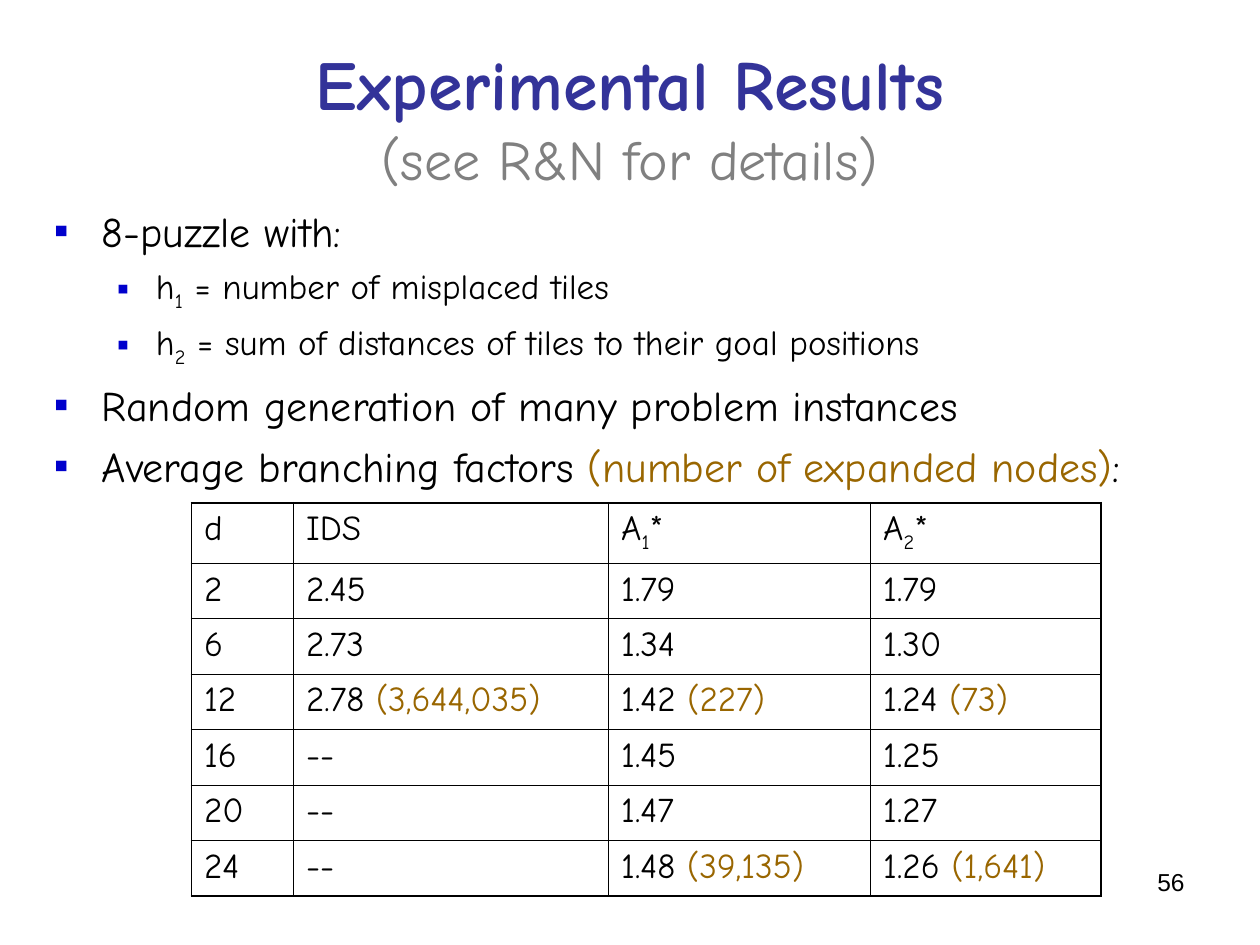
import pptx
import pptx.util
import pptx.dml.color
import pptx.enum.text
import pptx.oxml
import pptx.oxml.ns
import lxml.etree

Inches = pptx.util.Inches
Pt = pptx.util.Pt
ALIGN = pptx.enum.text.PP_ALIGN
ANCHOR = pptx.enum.text.MSO_ANCHOR
AUTO_SIZE = pptx.enum.text.MSO_AUTO_SIZE

FONT = "Comic Neue"
BLACK = "000000"
AMBER = "996600"
BULLET_BLUE = "0000CC"

BULLETS = [
    (0, ["8-puzzle with:"]),
    (1, ["h", ("1", "sub"), " = number of misplaced tiles"]),
    (1, ["h", ("2", "sub"), " = sum of distances of tiles to their goal positions"]),
    (0, ["Random generation of many problem instances"]),
    (0, ["Average branching factors ", ("(number of expanded nodes)", "note"), ":"]),
]
LEVELS = [
    {"size": 24, "margin": 0.38, "hang": 0.38, "before": 6},
    {"size": 20, "margin": 0.81, "hang": 0.31, "before": 5},
]
ROWS = [
    [["d"], ["IDS"], ["A", ("1", "sub"), "*"], ["A", ("2", "sub"), "*"]],
    [["2"], ["2.45"], ["1.79"], ["1.79"]],
    [["6"], ["2.73"], ["1.34"], ["1.30"]],
    [["12"], ["2.78 ", ("(3,644,035)", "note")], ["1.42 ", ("(227)", "note")],
     ["1.24 ", ("(73)", "note")]],
    [["16"], ["--"], ["1.45"], ["1.25"]],
    [["20"], ["--"], ["1.47"], ["1.27"]],
    [["24"], ["--"], ["1.48 ", ("(39,135)", "note")], ["1.26 ", ("(1,641)", "note")]],
]
COLUMN_WIDTHS = [0.81, 2.5, 2.08, 1.83]
HEADER_HEIGHT = 0.48
ROW_HEIGHT = 0.44


def rgb(value):
    return pptx.dml.color.RGBColor.from_string(value)


def style_run(r, size, color, font=FONT, bold=False):
    r.font.name = font
    r.font.size = Pt(size)
    r.font.bold = bold
    r.font.color.rgb = rgb(color)


def add_pieces(p, pieces, size):
    for piece in pieces:
        text, role = (piece, "plain") if isinstance(piece, str) else piece
        r = p.add_run()
        r.text = text
        style_run(r, size, AMBER if role == "note" else BLACK)
        if role == "sub":
            r.font._element.set("baseline", "-25000")


def add_bullet(p, margin, hang):
    pPr = p._p.get_or_add_pPr()
    pPr.set("marL", str(Inches(margin)))
    pPr.set("indent", str(-Inches(hang)))
    qn = pptx.oxml.ns.qn
    color = lxml.etree.SubElement(pPr, qn("a:buClr"))
    lxml.etree.SubElement(color, qn("a:srgbClr")).set("val", BULLET_BLUE)
    lxml.etree.SubElement(pPr, qn("a:buFont")).set("typeface", "Arial")
    lxml.etree.SubElement(pPr, qn("a:buChar")).set("char", "▪")


def set_borders(cell, widths):
    tcPr = cell._tc.get_or_add_tcPr()
    for side, width in widths.items():
        tcPr.append(pptx.oxml.parse_xml(
            f'<a:ln{side} {pptx.oxml.ns.nsdecls("a")} w="{Pt(width)}">'
            f'<a:solidFill><a:srgbClr val="{BLACK}"/></a:solidFill></a:ln{side}>'))


def set_title(s):
    title = s.shapes.title
    title.left, title.top = Inches(0.5), Inches(0.3)
    title.width, title.height = Inches(9), Inches(1.25)
    tf = title.text_frame
    tf.auto_size = AUTO_SIZE.NONE
    tf.vertical_anchor = ANCHOR.MIDDLE
    p = tf.paragraphs[0]
    p.text = "Experimental Results\v(see R&N for details)"
    p.alignment = ALIGN.CENTER
    heading, subtitle = p.runs
    style_run(heading, 40, "333399", bold=True)
    style_run(subtitle, 32, "808080")


def add_bullets(s):
    sp = s.shapes.add_textbox(Inches(0.33), Inches(1.58), Inches(9.33), Inches(2.4))
    tf = sp.text_frame
    tf.word_wrap = True
    for i, (level, pieces) in enumerate(BULLETS):
        p = tf.add_paragraph() if i else tf.paragraphs[0]
        look = LEVELS[level]
        p.level = level
        if i:
            p.space_before = Pt(look["before"])
        add_bullet(p, look["margin"], look["hang"])
        add_pieces(p, pieces, look["size"])


def add_results_table(s):
    height = HEADER_HEIGHT + ROW_HEIGHT * (len(ROWS) - 1)
    table = s.shapes.add_table(
        len(ROWS), len(COLUMN_WIDTHS), Inches(1.52), Inches(3.99),
        Inches(sum(COLUMN_WIDTHS)), Inches(height)).table
    table.first_row = False
    table.horz_banding = False
    for column, width in zip(table.columns, COLUMN_WIDTHS):
        column.width = Inches(width)
    last_row, last_column = len(ROWS) - 1, len(COLUMN_WIDTHS) - 1
    for i, row in enumerate(ROWS):
        table.rows[i].height = Inches(ROW_HEIGHT if i else HEADER_HEIGHT)
        for j, pieces in enumerate(row):
            cell = table.cell(i, j)
            add_pieces(cell.text_frame.paragraphs[0], pieces, 20)
            edges = {"L": j == 0, "R": j == last_column, "T": i == 0, "B": i == last_row}
            set_borders(cell, {side: 1.08 if outer else 0.45
                               for side, outer in edges.items()})
            cell.fill.background()


def add_page_number(s):
    sp = s.shapes.add_textbox(Inches(7.17), Inches(6.83), Inches(2.33), Inches(0.52))
    tf = sp.text_frame
    tf.word_wrap = True
    p = tf.paragraphs[0]
    p.text = "56"
    p.alignment = ALIGN.RIGHT
    style_run(p.runs[0], 14, BLACK, font="Arial")


def main():
    prs = pptx.Presentation()
    prs.slide_width, prs.slide_height = Inches(10), Inches(7.5)
    s = prs.slides.add_slide(prs.slide_layouts[5])
    add_page_number(s)
    set_title(s)
    add_bullets(s)
    add_results_table(s)
    prs.save("out.pptx")


if __name__ == "__main__":
    main()
